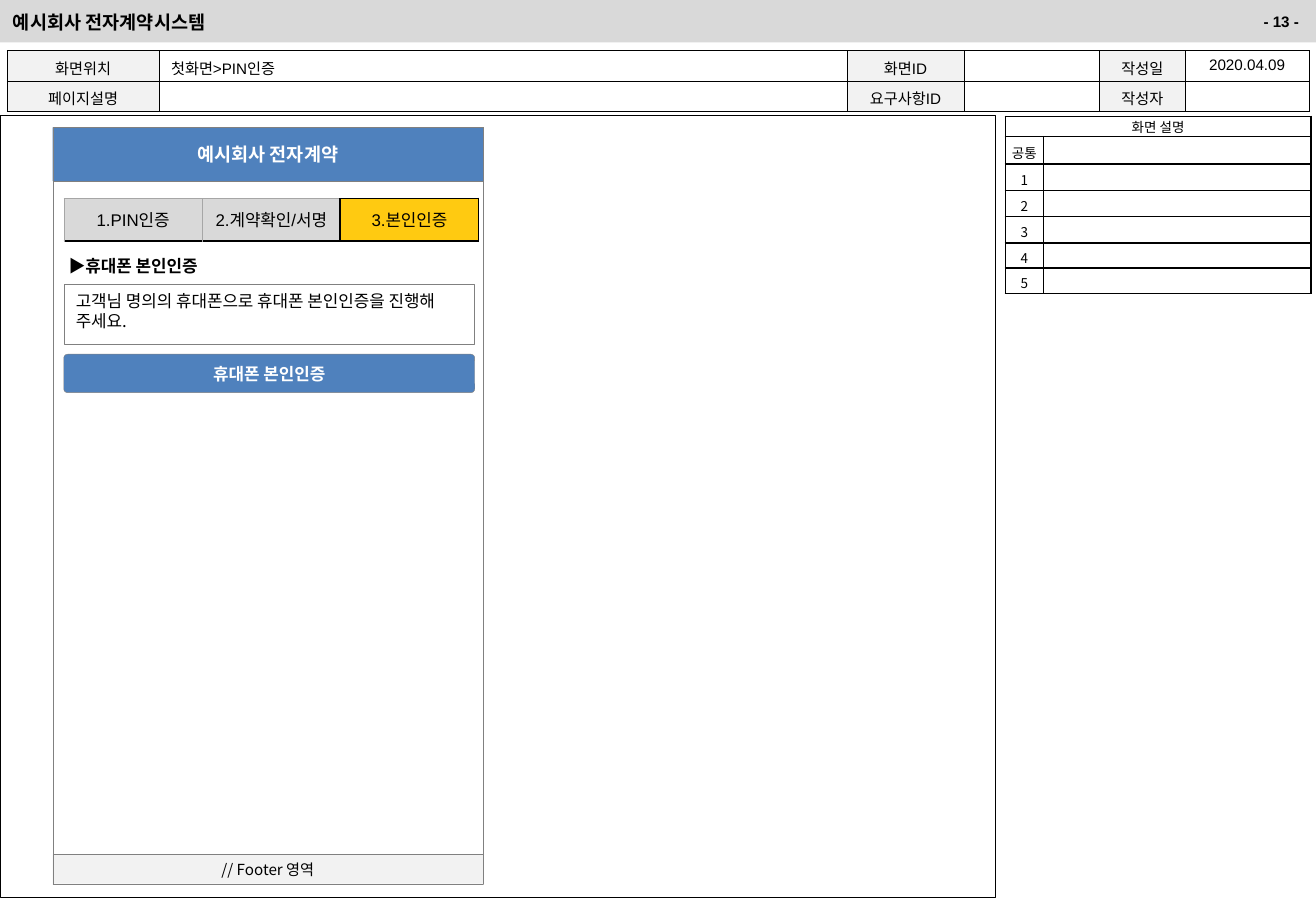
from dataclasses import dataclass

from lxml import etree
from pptx import Presentation
from pptx import util as u
from pptx.dml.color import RGBColor
from pptx.enum import shapes, text
from pptx.oxml.ns import qn

SCALE = 7620  # EMU per px, 120 px to the inch
RECT, ROUND = shapes.MSO_SHAPE.RECTANGLE, shapes.MSO_SHAPE.ROUNDED_RECTANGLE
LEFT, MID, RIGHT = text.PP_ALIGN.LEFT, text.PP_ALIGN.CENTER, text.PP_ALIGN.RIGHT
TOP, CENTRE = text.MSO_ANCHOR.TOP, text.MSO_ANCHOR.MIDDLE


@dataclass(frozen=True)
class Theme:
    black: str = "000000"
    white: str = "FFFFFF"
    bar: str = "D9D9D9"
    pale: str = "F2F2F2"
    grey: str = "808080"
    edge: str = "A6A6A6"
    blue: str = "4F81BD"
    gold: str = "FFCA11"
    latin: str = "Arial"
    hangul: str = "Noto Sans CJK KR"
    title: int = 11
    body: int = 10
    label: int = 9
    note: int = 8


T = Theme()


@dataclass(frozen=True)
class Style:
    size: int
    face: str = T.hangul
    color: str = T.black
    bold: bool = False
    align: text.PP_ALIGN = MID
    anchor: text.MSO_ANCHOR = CENTRE
    lead: float | None = None


@dataclass(frozen=True)
class Edge:
    color: str
    width: float


@dataclass(frozen=True)
class Box:
    area: tuple[int, int, int, int]
    fill: str | None = None
    edge: Edge | None = None
    words: str = ""
    style: Style | None = None
    kind: shapes.MSO_SHAPE = RECT


@dataclass(frozen=True)
class Cell:
    words: str
    style: Style
    edges: tuple[Edge, Edge, Edge, Edge]  # left, right, top, bottom
    fill: str | None = None
    pad: tuple[int, int, int, int] = (0, 0, 0, 0)


def px(value: int) -> u.Emu:
    return u.Emu(value * SCALE)


def apply(target, values: dict) -> None:
    for name, value in values.items():
        setattr(target, name, value)


def paint(fill, color: str | None) -> None:
    if color:
        fill.solid()
        fill.fore_color.rgb = RGBColor.from_string(color)
    else:
        fill.background()


def write(frame, words: str, style: Style) -> None:
    para = frame.paragraphs[0]
    apply(para, {"alignment": style.align, "line_spacing": style.lead})
    if not words:
        para._p.get_or_add_endParaRPr().set("sz", str(style.size * 100))
        return
    run = para.add_run()
    run.text = words
    apply(run.font, {"size": u.Pt(style.size), "name": style.face, "bold": style.bold})
    run.font.color.rgb = RGBColor.from_string(style.color)
    if style.face == T.hangul:
        etree.SubElement(run.font._element, qn("a:ea"), typeface=style.face)


def draw_box(slide, box: Box) -> None:
    shape = slide.shapes.add_shape(box.kind, *map(px, box.area))
    shape.shadow.inherit = False
    if box.kind == ROUND:
        shape.adjustments[0] = 0.1
    paint(shape.fill, box.fill)
    paint(shape.line.fill, box.edge.color if box.edge else None)
    if box.edge:
        shape.line.width = u.Pt(box.edge.width)
    if box.style:
        apply(shape.text_frame, {"word_wrap": True, "vertical_anchor": box.style.anchor})
        write(shape.text_frame, box.words, box.style)


def draw_text(slide, area: tuple[int, int, int, int], words: str, style: Style,
              wrap: bool = True) -> None:
    frame = slide.shapes.add_textbox(*map(px, area)).text_frame
    apply(frame, {"word_wrap": wrap, "vertical_anchor": style.anchor})
    write(frame, words, style)


def draw_cell(cell, item: Cell) -> None:
    left, top, right, bottom = map(px, item.pad)
    apply(cell, {"margin_left": left, "margin_top": top, "margin_right": right,
                 "margin_bottom": bottom, "vertical_anchor": item.style.anchor})
    props = cell._tc.get_or_add_tcPr()
    for side, edge in zip("LRTB", item.edges):
        line = etree.SubElement(props, qn(f"a:ln{side}"), w=str(u.Pt(edge.width)))
        solid = etree.SubElement(line, qn("a:solidFill"))
        etree.SubElement(solid, qn("a:srgbClr"), val=edge.color)
    paint(cell.fill, item.fill)
    write(cell.text_frame, item.words, item.style)


def draw_table(slide, at: tuple[int, int], cols: list[int], rows: list[int],
               cells: list[list[Cell]]):
    table = slide.shapes.add_table(
        len(rows), len(cols), *map(px, (*at, sum(cols), sum(rows)))).table
    apply(table, {"first_row": False, "horz_banding": False})
    for col, width in zip(table.columns, cols):
        col.width = px(width)
    for row, height, items in zip(table.rows, rows, cells):
        row.height = px(height)
        for cell, item in zip(row.cells, items):
            draw_cell(cell, item)
    return table


def draw_info(slide) -> None:
    rows = [["화면위치", "첫화면>PIN인증", "화면ID", "", "작성일", "2020.04.09"],
            ["페이지설명", "", "요구사항ID", "", "작성자", ""]]
    edges = (Edge(T.black, 0.25),) * 4

    def info(col: int, words: str) -> Cell:
        style = Style(T.label, T.latin, align=LEFT if col == 1 else MID, anchor=TOP)
        return Cell(words, style, edges, None if col % 2 else T.pale, (12, 6, 12, 0))

    cells = [[info(col, words) for col, words in enumerate(row)] for row in rows]
    draw_table(slide, (7, 50), [150, 680, 115, 134, 85, 122], [30, 30], cells)


def draw_notes(slide) -> None:
    edges = (Edge(T.black, 1),) * 4
    head, style = Style(T.note), Style(T.note, lead=1.2)
    cells = [[Cell("화면 설명", head, edges), Cell("", head, edges)]]
    cells += [[Cell(words, style, edges), Cell("", style, edges)]
              for words in ("공통", "1", "2", "3", "4", "5")]
    table = draw_table(slide, (993, 115), [38, 264], [20, 27, 26, 26, 26, 25, 25], cells)
    table.cell(0, 0).merge(table.cell(0, 1))


def draw_steps(slide) -> None:
    thin, bold = Edge(T.edge, 0.25), Edge(T.black, 1)
    style = Style(T.body, T.latin)
    cells = [Cell("1.PIN인증", style, (thin, thin, thin, bold), T.bar),
             Cell("2.계약확인/서명", style, (thin, bold, thin, bold), T.bar),
             Cell("3.본인인증", style, (bold,) * 4, T.gold)]
    draw_table(slide, (63, 196), [137, 136, 137], [42], [cells])


def main() -> None:
    deck = Presentation()
    apply(deck, {"slide_width": px(1300), "slide_height": px(900)})
    slide = deck.slides.add_slide(deck.slide_layouts[6])
    hair, thin = Edge(T.grey, 0.1), Edge(T.grey, 0.25)
    white = {"color": T.white, "bold": True}

    for box in (
        Box((0, 114, 983, 772), T.white, Edge(T.black, 0.25)),
        Box((0, 0, 1300, 42), T.bar),
        Box((52, 126, 425, 718), None, hair),
        Box((52, 844, 425, 29), T.pale, hair, "// Footer 영역", Style(T.label)),
        Box((63, 281, 405, 59), None, hair,
            "고객님 명의의 휴대폰으로 휴대폰 본인인증을 진행해 주세요.",
            Style(T.body, align=LEFT, anchor=TOP)),
        Box((63, 350, 406, 38), T.blue, thin, "휴대폰 본인인증",
            Style(T.body, **white), ROUND),
        Box((52, 126, 425, 53), T.blue, hair, "예시회사 전자계약", Style(T.title, **white)),
    ):
        draw_box(slide, box)

    draw_text(slide, (1, 5, 902, 35), "예시회사 전자계약시스템",
              Style(T.title, bold=True, align=LEFT, anchor=TOP))
    draw_text(slide, (1201, 6, 94, 30), "- 13 -",
              Style(T.label, T.latin, bold=True, align=RIGHT, anchor=TOP))
    draw_text(slide, (56, 247, 168, 32), "▶휴대폰 본인인증",
              Style(T.body, T.latin, bold=True, align=LEFT, anchor=TOP), wrap=False)
    draw_info(slide)
    draw_notes(slide)
    draw_steps(slide)
    deck.save("out.pptx")


if __name__ == "__main__":
    main()
